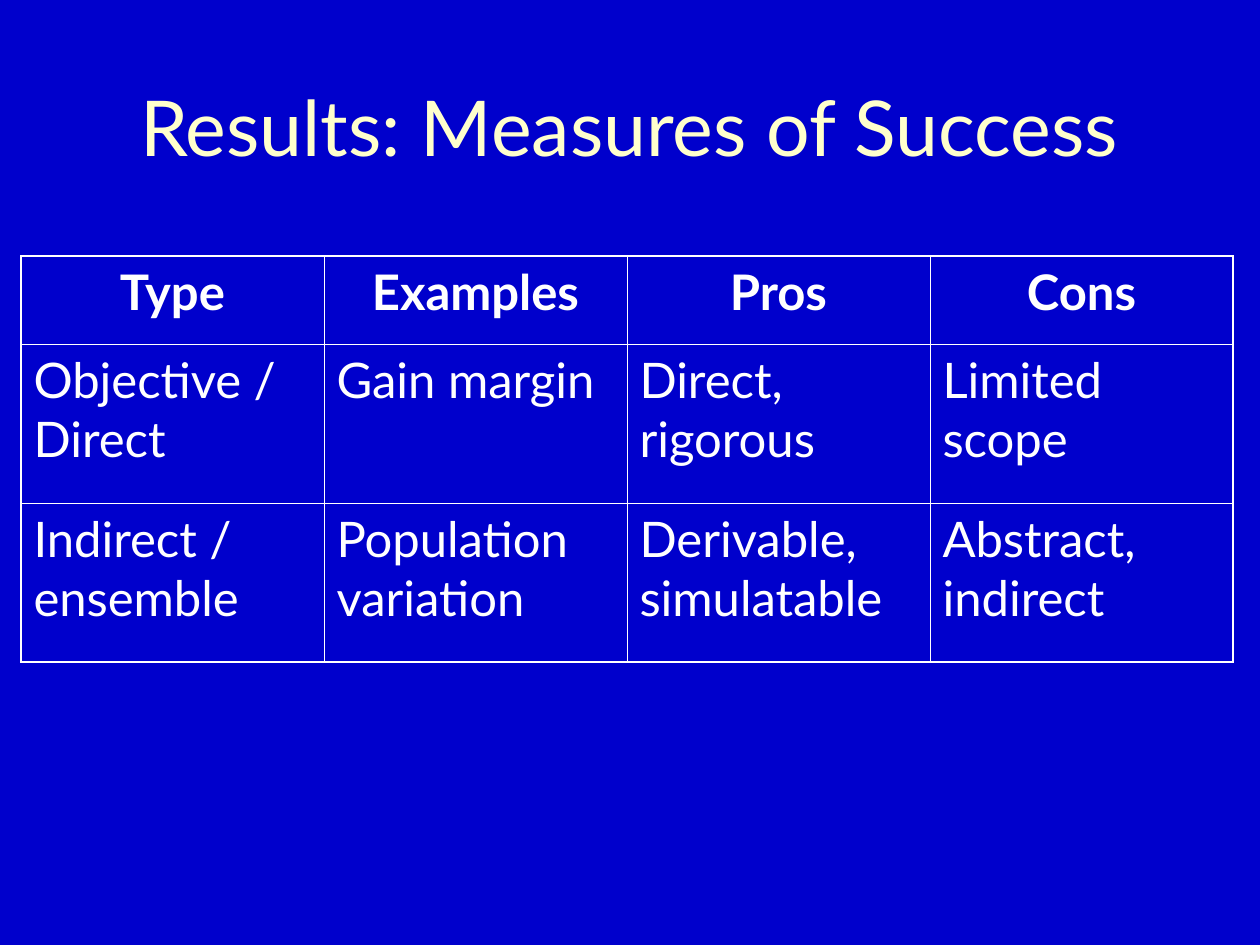
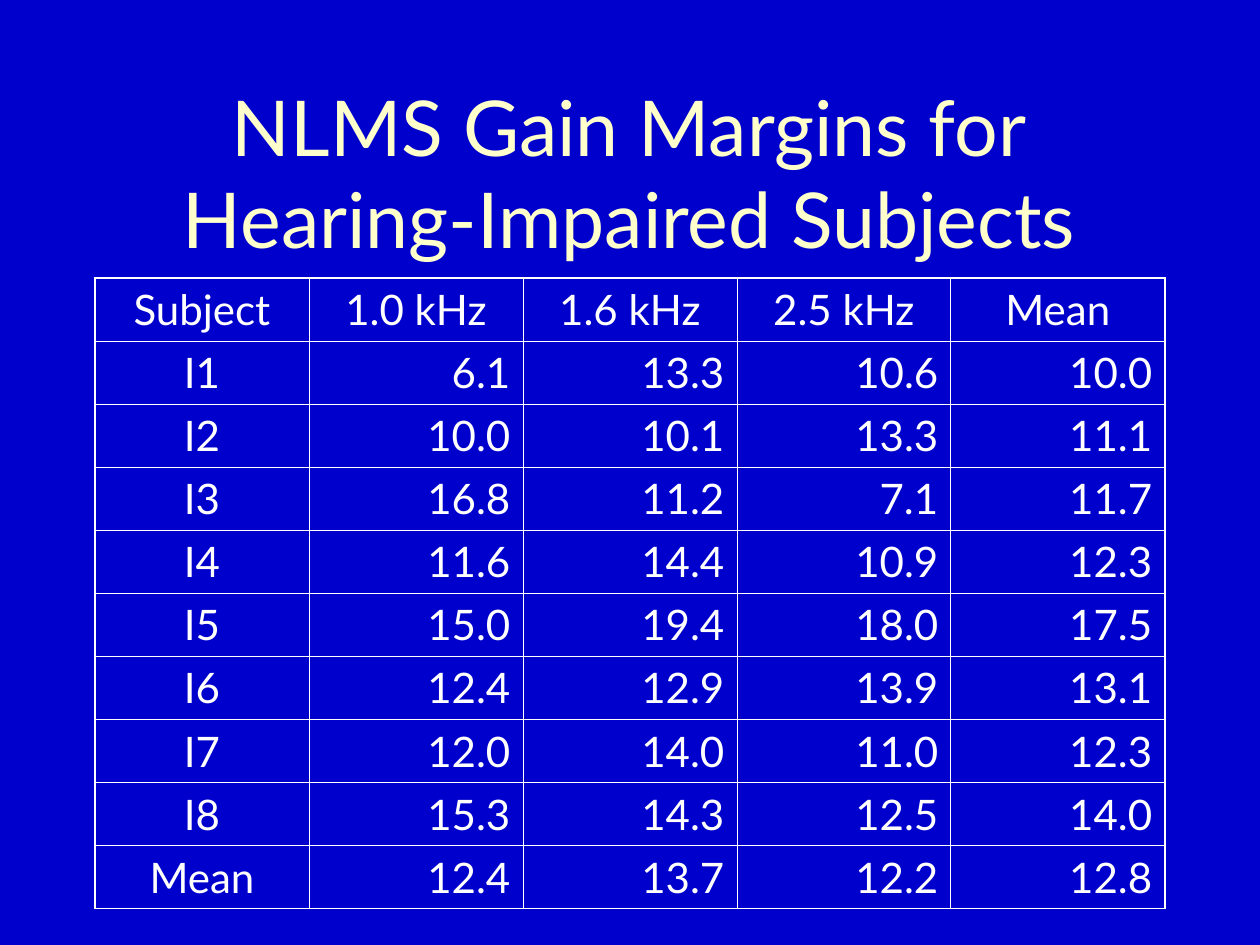
from dataclasses import dataclass

from lxml import etree
from pptx import Presentation
from pptx import util as u
from pptx.dml.color import RGBColor
from pptx.enum import text
from pptx.oxml import ns

# Shared style
PX_PER_INCH = 126
PAGE_WIDTH, PAGE_HEIGHT = 1260, 945
BLUE = RGBColor(0x00, 0x00, 0xCC)
CREAM = RGBColor(0xFF, 0xFF, 0xCC)
WHITE = RGBColor(0xFF, 0xFF, 0xFF)
FONT = "Lato"
TITLE_SIZE = 44
TITLE_BOX = (24, 73, 1211, 106)
INNER_LINE, OUTER_LINE = 0.45, 1.08
TITLE_ONLY = 5
LEFT, CENTER, RIGHT = text.PP_ALIGN.LEFT, text.PP_ALIGN.CENTER, text.PP_ALIGN.RIGHT


@dataclass(frozen=True)
class Grid:
    """A table with equal columns; lengths in px, text sizes in points."""
    left: int
    top: int
    column_width: int
    row_heights: list[int]
    rows: list[list[str]]
    first_column: text.PP_ALIGN
    other_columns: text.PP_ALIGN
    size: int
    space_before: int
    bold_header: bool = False


@dataclass(frozen=True)
class TablePage:
    title: str
    grid: Grid


# Slide contents
MEASURES = [
    ["Type", "Examples", "Pros", "Cons"],
    ["Objective / Direct", "Gain margin", "Direct, rigorous", "Limited scope"],
    ["Indirect / ensemble", "Population variation", "Derivable, simulatable",
     "Abstract, indirect"],
]
GAIN_MARGINS = [
    ["Subject", "1.0 kHz", "1.6 kHz", "2.5 kHz", "Mean"],
    ["I1", "6.1", "13.3", "10.6", "10.0"],
    ["I2", "10.0", "10.1", "13.3", "11.1"],
    ["I3", "16.8", "11.2", "7.1", "11.7"],
    ["I4", "11.6", "14.4", "10.9", "12.3"],
    ["I5", "15.0", "19.4", "18.0", "17.5"],
    ["I6", "12.4", "12.9", "13.9", "13.1"],
    ["I7", "12.0", "14.0", "11.0", "12.3"],
    ["I8", "15.3", "14.3", "12.5", "14.0"],
    ["Mean", "12.4", "13.7", "12.2", "12.8"],
]
PAGES = [
    TablePage("Results: Measures of Success",
              Grid(21, 256, 303, [88, 159, 159], MEASURES, LEFT, LEFT, 28, 7, True)),
    TablePage("NLMS Gain Margins for\vHearing-Impaired Subjects",
              Grid(95, 278, 214, [63] * len(GAIN_MARGINS), GAIN_MARGINS,
                   CENTER, RIGHT, 24, 6)),
]


def px(length: int) -> u.Emu:
    return u.Emu(round(length * u.Inches(1) / PX_PER_INCH))


def format_paragraph(para, align: text.PP_ALIGN, size: int, color: RGBColor,
                     bold: bool = False) -> None:
    para.alignment = align
    for span in para.runs:
        span.font.name = FONT
        span.font.size = u.Pt(size)
        span.font.bold = bold
        span.font.color.rgb = color


def add_title(page, title: str) -> None:
    box = page.shapes.title
    box.left, box.top, box.width, box.height = map(px, TITLE_BOX)
    frame = box.text_frame
    frame.text = title
    frame.word_wrap = True
    frame.auto_size = text.MSO_AUTO_SIZE.NONE
    frame.vertical_anchor = text.MSO_ANCHOR.TOP
    format_paragraph(frame.paragraphs[0], CENTER, TITLE_SIZE, CREAM)


def set_borders(cell, outer_sides: dict[str, bool]) -> None:
    """Draw the four cell lines, heavier on the edge of the table."""
    properties = cell._tc.get_or_add_tcPr()
    for side, is_outer in outer_sides.items():
        width = u.Pt(OUTER_LINE if is_outer else INNER_LINE)
        line = etree.SubElement(properties, ns.qn(f"a:ln{side}"), w=str(width))
        fill = etree.SubElement(line, ns.qn("a:solidFill"))
        etree.SubElement(fill, ns.qn("a:srgbClr"), val=str(WHITE))


def add_grid(page, grid: Grid) -> None:
    row_count, column_count = len(grid.rows), len(grid.rows[0])
    table = page.shapes.add_table(
        row_count, column_count, px(grid.left), px(grid.top),
        px(grid.column_width * column_count), px(sum(grid.row_heights))).table
    table.first_row = table.horz_banding = False
    for column in table.columns:
        column.width = px(grid.column_width)
    for row, height in zip(table.rows, grid.row_heights):
        row.height = px(height)

    for r, values in enumerate(grid.rows):
        for c, value in enumerate(values):
            cell = table.cell(r, c)
            # Borders precede the fill in the cell properties
            set_borders(cell, {"L": c == 0, "R": c == column_count - 1,
                               "T": r == 0, "B": r == row_count - 1})
            cell.fill.background()
            cell.text_frame.text = value
            para = cell.text_frame.paragraphs[0]
            para.space_before = u.Pt(grid.space_before)
            body_align = grid.first_column if c == 0 else grid.other_columns
            format_paragraph(para, CENTER if r == 0 else body_align, grid.size,
                             WHITE, grid.bold_header and r == 0)


def main() -> None:
    deck = Presentation()
    deck.slide_width, deck.slide_height = px(PAGE_WIDTH), px(PAGE_HEIGHT)
    background = deck.slide_master.background.fill
    background.solid()
    background.fore_color.rgb = BLUE
    for content in PAGES:
        page = deck.slides.add_slide(deck.slide_layouts[TITLE_ONLY])
        add_title(page, content.title)
        add_grid(page, content.grid)
    deck.save("out.pptx")


if __name__ == "__main__":
    main()
